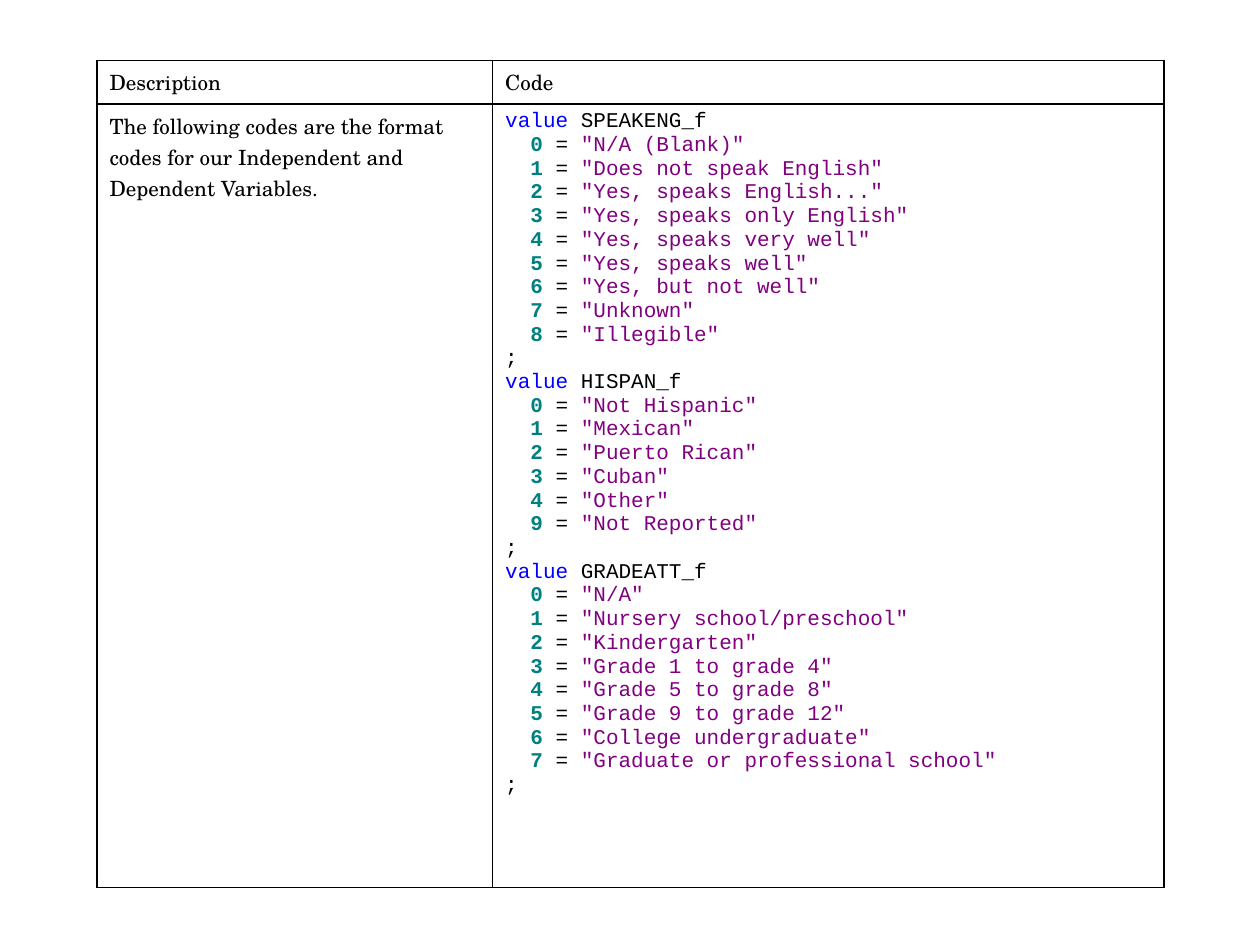
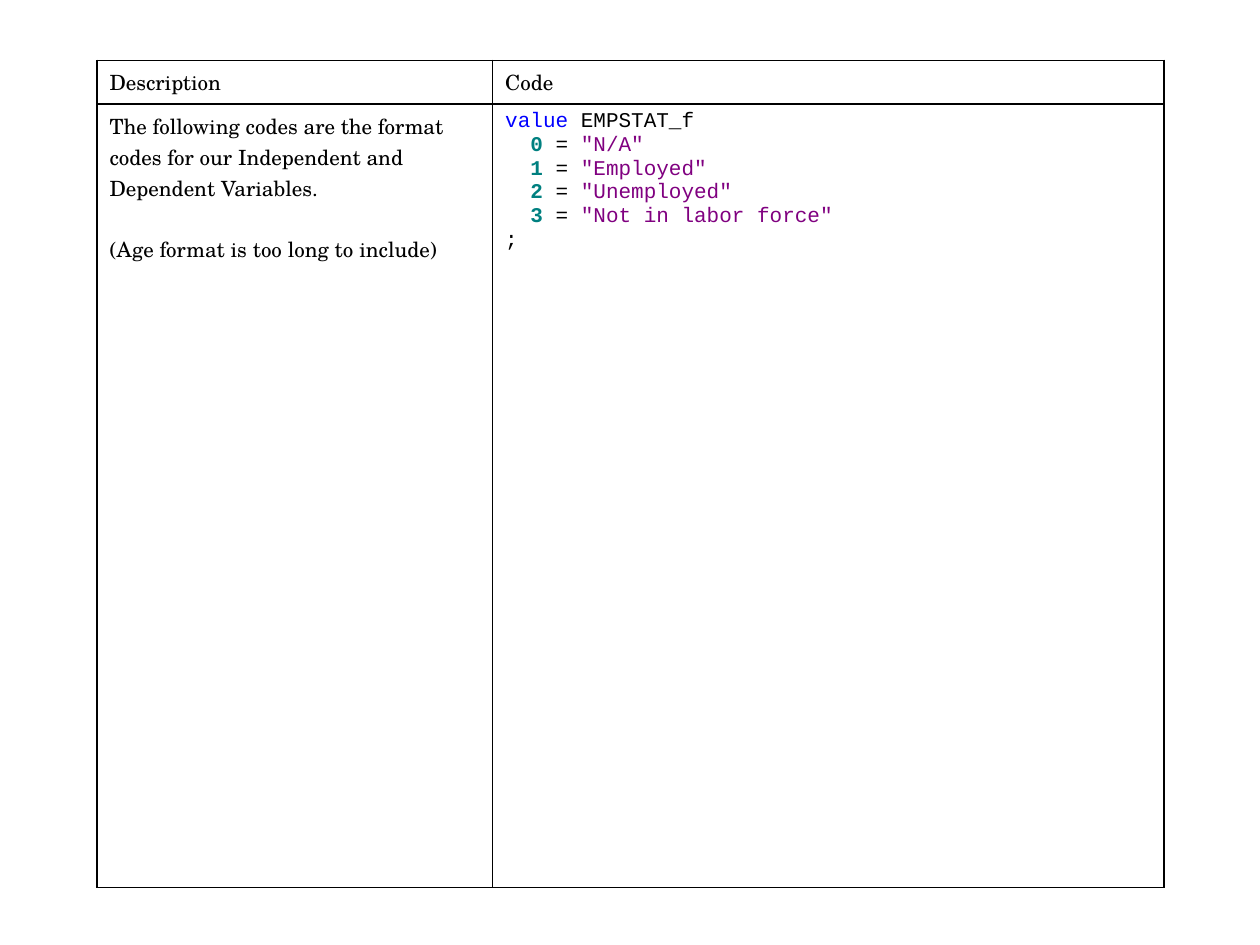
from lxml import etree
from pptx import Presentation, util as u
from pptx.dml import color
from pptx.oxml import ns

COLORS = {"ink": "000000", "keyword": "0000FF", "number": "008080", "string": "800080"}
PROSE_FONT, CODE_FONT = "TeX Gyre Schola", "Courier New"
COLUMN_WIDTHS = [3.14, 5.33]
ROW_HEIGHTS = [0.31, 6.22]
CODE_INDENT = u.Inches(0.2)
PROSE_LINE = u.Pt(17.7)
INTRO = "The following codes are the format codes for our Independent and Dependent Variables."

# One entry per slide: description paragraphs, then format name -> {code: label}
PAGES = [
    ([INTRO], {
        "SPEAKENG_f": {0: "N/A (Blank)", 1: "Does not speak English",
                       2: "Yes, speaks English...", 3: "Yes, speaks only English",
                       4: "Yes, speaks very well", 5: "Yes, speaks well",
                       6: "Yes, but not well", 7: "Unknown", 8: "Illegible"},
        "HISPAN_f": {0: "Not Hispanic", 1: "Mexican", 2: "Puerto Rican",
                     3: "Cuban", 4: "Other", 9: "Not Reported"},
        "GRADEATT_f": {0: "N/A", 1: "Nursery school/preschool", 2: "Kindergarten",
                       3: "Grade 1 to grade 4", 4: "Grade 5 to grade 8",
                       5: "Grade 9 to grade 12", 6: "College undergraduate",
                       7: "Graduate or professional school"},
    }),
    ([INTRO, "(Age format is too long to include)"], {
        "EMPSTAT_f": {0: "N/A", 1: "Employed", 2: "Unemployed", 3: "Not in labor force"},
    }),
]


def write_lines(cell, lines, font):
    """Fill a cell with paragraphs, each a list of (text, colour name) spans."""
    frame = cell.text_frame
    for index, spans in enumerate(lines):
        para = frame.add_paragraph() if index else frame.paragraphs[0]
        for text, tone in spans:
            span = para.add_run()
            span.text = text
            span.font.name = font
            span.font.size = u.Pt(12)
            span.font.bold = tone == "number"
            span.font.color.rgb = color.RGBColor.from_string(COLORS[tone])


def outline_cell(cell):
    """Draw a 1 pt border on every side and leave the cell unfilled."""
    properties = cell._tc.get_or_add_tcPr()
    for side in ("a:lnL", "a:lnR", "a:lnT", "a:lnB"):
        line = etree.SubElement(properties, ns.qn(side), w=str(u.Pt(1)))
        fill = etree.SubElement(line, ns.qn("a:solidFill"))
        etree.SubElement(fill, ns.qn("a:srgbClr"), val=COLORS["ink"])
    cell.fill.background()


deck = Presentation()
deck.slide_width, deck.slide_height = u.Inches(10), u.Inches(7.5)

for description, formats in PAGES:
    page = deck.slides.add_slide(deck.slide_layouts[6])

    # Table grid
    table = page.shapes.add_table(
        2, 2, u.Inches(0.77), u.Inches(0.48),
        u.Inches(sum(COLUMN_WIDTHS)), u.Inches(sum(ROW_HEIGHTS))).table
    table.first_row = table.horz_banding = False
    for column, width in zip(table.columns, COLUMN_WIDTHS):
        column.width = u.Inches(width)
    for row, height in zip(table.rows, ROW_HEIGHTS):
        row.height = u.Inches(height)
    for cell in table.iter_cells():
        outline_cell(cell)

    # Header row
    for index, heading in enumerate(["Description", "Code"]):
        write_lines(table.cell(0, index), [[(heading, "ink")]], PROSE_FONT)

    # Description, with one line of space between paragraphs
    prose = table.cell(1, 0)
    write_lines(prose, [[(text, "ink")] for text in description], PROSE_FONT)
    for para in prose.text_frame.paragraphs[1:]:
        para.space_before = PROSE_LINE

    # Code listing, with the value lines indented
    lines = []
    for name, labels in formats.items():
        lines.append([("value ", "keyword"), (name, "ink")])
        for code, label in labels.items():
            lines.append([(str(code), "number"), (" = ", "ink"), (f'"{label}"', "string")])
        lines.append([(";", "ink")])
    listing = table.cell(1, 1)
    write_lines(listing, lines, CODE_FONT)
    for para in listing.text_frame.paragraphs:
        if para.runs[0].font.bold:
            para._p.get_or_add_pPr().set("marL", str(CODE_INDENT))

deck.save("out.pptx")
